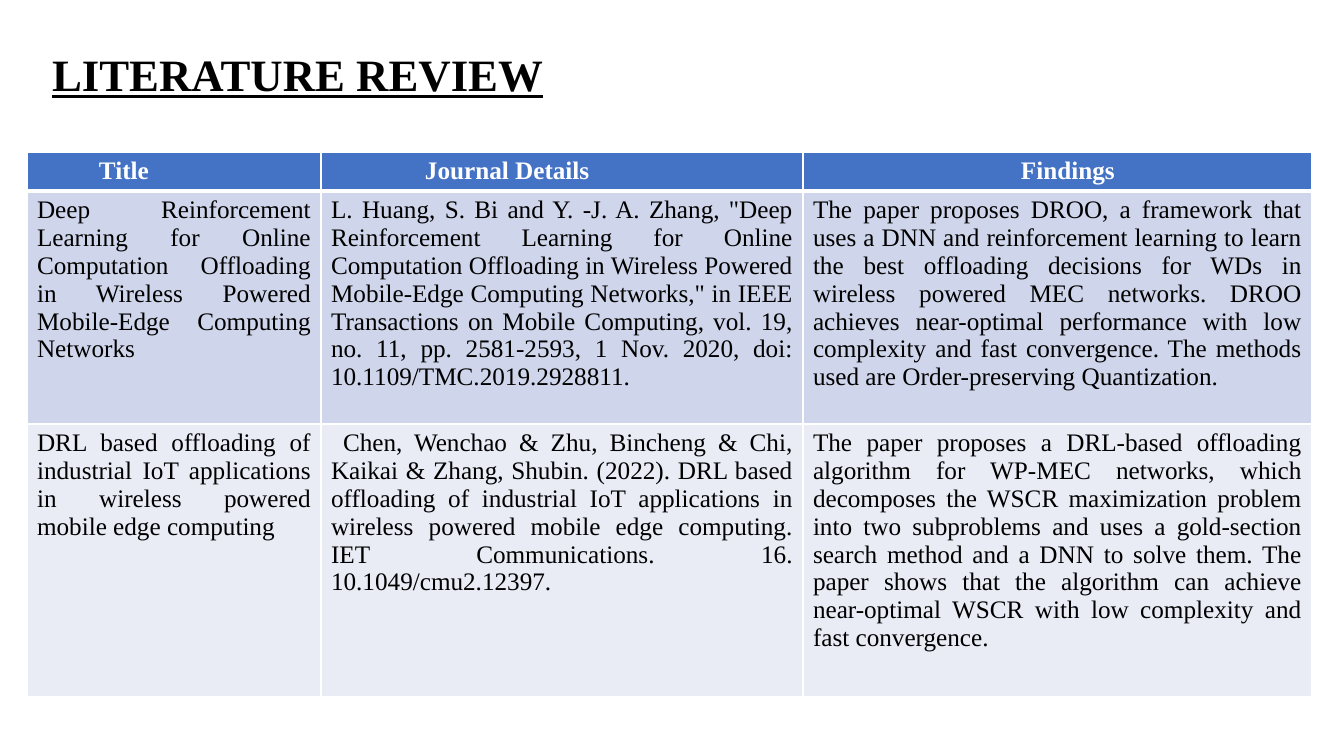
from pptx import Presentation
from pptx.dml.color import RGBColor
from pptx.enum.text import MSO_ANCHOR, PP_ALIGN
from pptx.oxml import parse_xml
from pptx.oxml.ns import nsdecls
from pptx.util import Pt

EMU_PER_PX = 914400 / 100.8
COLORS = {"text": "000000", "white": "FFFFFF", "header": "4472C4",
          "band_dark": "CFD5EA", "band_light": "E9EBF5"}
HEADINGS = [("Title", 72), ("Journal Details", 104), ("Findings", 218)]
PAPERS = [
    ("Deep Reinforcement Learning for Online Computation Offloading in Wireless "
     "Powered Mobile-Edge Computing Networks",
     'L. Huang, S. Bi and Y. -J. A. Zhang, "Deep Reinforcement Learning for Online '
     'Computation Offloading in Wireless Powered Mobile-Edge Computing Networks," in '
     "IEEE Transactions on Mobile Computing, vol. 19, no. 11, pp. 2581-2593, 1 Nov. "
     "2020, doi: 10.1109/TMC.2019.2928811.",
     "The paper proposes DROO, a framework that uses a DNN and reinforcement learning "
     "to learn the best offloading decisions for WDs in wireless powered MEC networks. "
     "DROO achieves near-optimal performance with low complexity and fast convergence. "
     "The methods used are Order-preserving Quantization."),
    ("DRL based offloading of industrial IoT applications in wireless powered mobile "
     "edge computing",
     "Chen, Wenchao & Zhu, Bincheng & Chi, Kaikai & Zhang, Shubin. (2022). DRL based "
     "offloading of industrial IoT applications in wireless powered mobile edge "
     "computing. IET Communications. 16. 10.1049/cmu2.12397.",
     "The paper proposes a DRL-based offloading algorithm for WP-MEC networks, which "
     "decomposes the WSCR maximization problem into two subproblems and uses a "
     "gold-section search method and a DNN to solve them. The paper shows that the "
     "algorithm can achieve near-optimal WSCR with low complexity and fast convergence."),
]


def px(n):
    return round(n * EMU_PER_PX)


class Deck:
    """Holds the presentation, its font and the current slide."""

    def __init__(self, width, height, font):
        self.prs = Presentation()
        self.prs.slide_width, self.prs.slide_height = px(width), px(height)
        self.font = font
        self.s = self.prs.slides.add_slide(self.prs.slide_layouts[5])

    def style(self, p, size, color, bold, align):
        p.alignment = align
        p.font.name, p.font.size, p.font.bold = self.font, Pt(size), bold
        p.font.color.rgb = RGBColor.from_string(COLORS[color])

    def title(self, text, x, y, w, h):
        sp = self.s.shapes.title
        sp.left, sp.top, sp.width, sp.height = px(x), px(y), px(w), px(h)
        tf = sp.text_frame
        tf.text, tf.vertical_anchor = text, MSO_ANCHOR.MIDDLE
        p = tf.paragraphs[0]
        self.style(p, 32, "text", True, PP_ALIGN.LEFT)
        p.font.underline, p.line_spacing = True, 0.9

    def table(self, x, y, cols, rows):
        table = self.s.shapes.add_table(len(rows), len(cols), px(x), px(y),
                                        px(sum(cols)), px(sum(rows))).table
        for column, width in zip(table.columns, cols):
            column.width = px(width)
        for row, height in zip(table.rows, rows):
            row.height = px(height)
        return table

    def borders(self, cell, top, bottom):
        for side, width in (("L", 1), ("R", 1), ("T", top), ("B", bottom)):
            cell._tc.get_or_add_tcPr().append(parse_xml(
                f'<a:ln{side} {nsdecls("a")} w="{Pt(width)}"><a:solidFill>'
                f'<a:srgbClr val="{COLORS["white"]}"/></a:solidFill></a:ln{side}>'))

    def cell(self, cell, text, fill, color, bold, align, top=1, bottom=1):
        self.borders(cell, top, bottom)
        cell.fill.solid()
        cell.fill.fore_color.rgb = RGBColor.from_string(COLORS[fill])
        cell.text = text
        self.style(cell.text_frame.paragraphs[0], 18, color, bold, align)


def main():
    deck = Deck(1344, 756, "Times New Roman")
    deck.title("LITERATURE REVIEW", 42, 25, 1159, 104)
    table = deck.table(27, 152, [294, 482, 509], [39, 233, 273])
    for c, (heading, margin) in enumerate(HEADINGS):
        cell = table.cell(0, c)
        deck.cell(cell, heading, "header", "white", True, PP_ALIGN.LEFT, bottom=3)
        cell.margin_left = px(margin)
    for r, paper in enumerate(PAPERS, 1):
        fill = "band_dark" if r % 2 else "band_light"
        for c, text in enumerate(paper):
            deck.cell(table.cell(r, c), text, fill, "text", False, PP_ALIGN.JUSTIFY,
                      top=3 if r == 1 else 1)
    p = table.cell(2, 1).text_frame.paragraphs[0]
    p._p.get_or_add_pPr().set("indent", str(px(12)))
    deck.prs.save("out.pptx")


if __name__ == "__main__":
    main()
